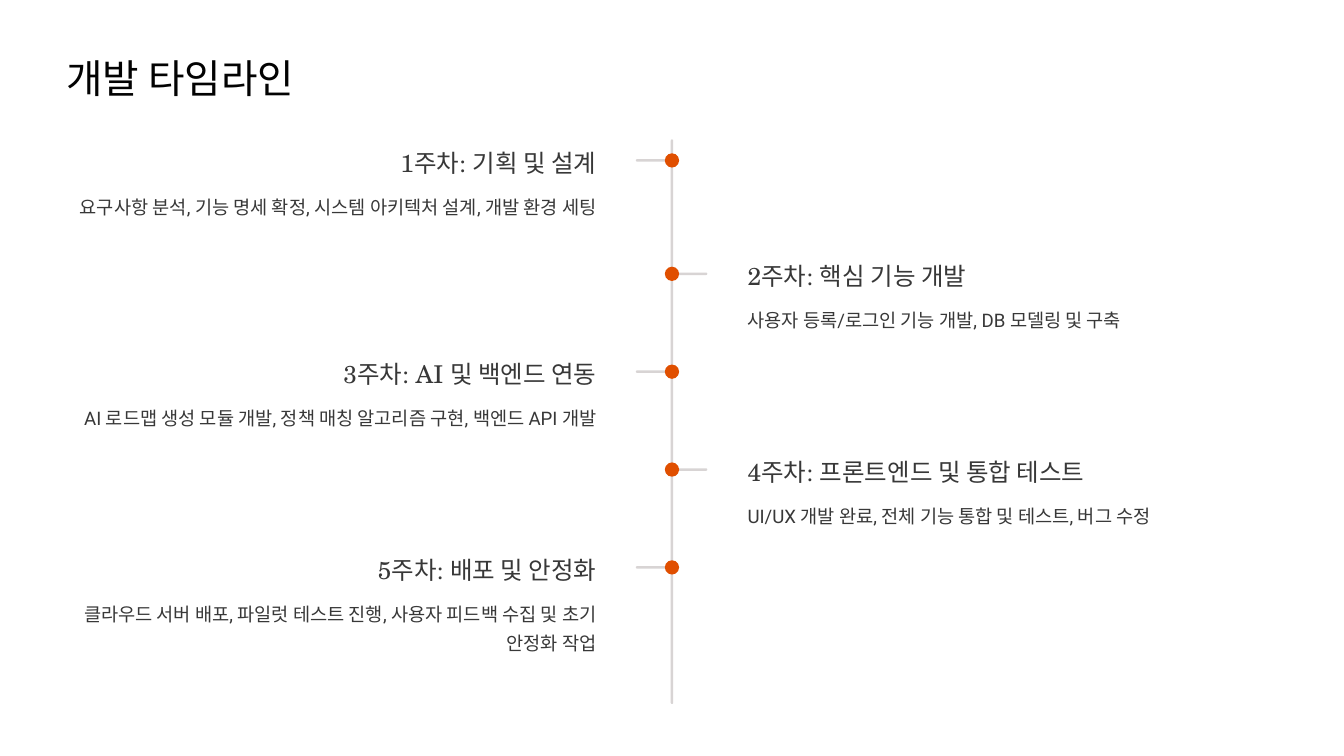
from pptx import Presentation
from pptx.dml.color import RGBColor
from pptx.enum.shapes import MSO_SHAPE
from pptx.enum.text import MSO_ANCHOR, MSO_AUTO_SIZE, PP_ALIGN
from pptx.util import Inches, Pt

TITLE_INK = RGBColor(0x02, 0x02, 0x02)
INK = RGBColor(0x38, 0x38, 0x38)
RAIL = RGBColor(0xD8, 0xD4, 0xD4)
ACCENT = RGBColor(0xE0, 0x4F, 0x00)
SERIF, SANS = "TeX Gyre Schola", "Roboto"

WIDTH, HEIGHT = 16, 9
CENTER = WIDTH / 2
MARGIN = 0.79
DETAIL_WIDTH = 6.31
LEFT_EDGE = MARGIN + DETAIL_WIDTH    # right end of the left-hand texts
RIGHT_EDGE = WIDTH - LEFT_EDGE       # start of the right-hand texts
LINE, BRANCH, DOT = 0.03, 0.45, 0.17
FIRST_WEEK, SECOND_WEEK, WEEK_STEP = 1.91, 3.26, 1.165

# heading, heading width, detail, detail lines
weeks = [
    ("1주차: 기획 및 설계", 2.95,
     "요구사항 분석, 기능 명세 확정, 시스템 아키텍처 설계, 개발 환경 세팅", 1),
    ("2주차: 핵심 기능 개발", 2.95,
     "사용자 등록/로그인 기능 개발, DB 모델링 및 구축", 1),
    ("3주차: AI 및 백엔드 연동", 3.02,
     "AI 로드맵 생성 모듈 개발, 정책 매칭 알고리즘 구현, 백엔드 API 개발", 1),
    ("4주차: 프론트엔드 및 통합 테스트", 4.07,
     "UI/UX 개발 완료, 전체 기능 통합 및 테스트, 버그 수정", 1),
    ("5주차: 배포 및 안정화", 2.95,
     "클라우드 서버 배포, 파일럿 테스트 진행, 사용자 피드백 수집 및 초기 안정화 작업", 2),
]

prs = Presentation()
prs.slide_width, prs.slide_height = Inches(WIDTH), Inches(HEIGHT)
slide = prs.slides.add_slide(prs.slide_layouts[5])


def add_pill(left, top, width, height, color):
    """Add a borderless bar with fully rounded ends."""
    pill = slide.shapes.add_shape(
        MSO_SHAPE.ROUNDED_RECTANGLE,
        Inches(left), Inches(top), Inches(width), Inches(height))
    pill.adjustments[0] = 0.5
    pill.shadow.inherit = False
    pill.fill.solid()
    pill.fill.fore_color.rgb = color
    pill.line.fill.background()


def write(frame, text, font, size, spacing, color, align, wrap=False):
    frame.margin_left = frame.margin_right = 0
    frame.margin_top = frame.margin_bottom = 0
    frame.vertical_anchor = MSO_ANCHOR.TOP
    frame.auto_size = MSO_AUTO_SIZE.NONE
    frame.word_wrap = wrap
    frame.text = text
    paragraph = frame.paragraphs[0]
    paragraph.alignment = align
    paragraph.line_spacing = Pt(spacing)
    run_font = paragraph.runs[0].font
    run_font.name, run_font.size = font, Pt(size)
    run_font.color.rgb = color


title = slide.shapes.title
title.left, title.top = Inches(MARGIN), Inches(0.62)
title.width, title.height = Inches(4.73), Inches(0.59)
write(title.text_frame, "개발 타임라인", SERIF, 34, 42.5, TITLE_INK, PP_ALIGN.LEFT)

add_pill(CENTER - LINE / 2, 1.66, LINE, 6.72, RAIL)

for index, (heading, heading_width, detail, lines) in enumerate(weeks):
    y = SECOND_WEEK + (index - 1) * WEEK_STEP if index else FIRST_WEEK
    on_left = index % 2 == 0
    align = PP_ALIGN.RIGHT if on_left else PP_ALIGN.LEFT

    branch_left = CENTER + 0.02 - BRANCH if on_left else CENTER - 0.03
    add_pill(branch_left, y - LINE / 2, BRANCH, LINE, RAIL)
    add_pill(CENTER - DOT / 2, y - DOT / 2, DOT, DOT, ACCENT)

    for text, width, top, height, font, size, spacing in (
            (heading, heading_width, y - 0.17, 0.37, SERIF, 21, 26.5),
            (detail, DETAIL_WIDTH, y + 0.33, 0.36 * lines, SANS, 16, 25.5)):
        left = LEFT_EDGE - width if on_left else RIGHT_EDGE
        box = slide.shapes.add_textbox(
            Inches(left), Inches(top), Inches(width), Inches(height))
        wrap = text == detail and lines > 1
        write(box.text_frame, text, font, size, spacing, INK, align, wrap)

prs.save("out.pptx")
